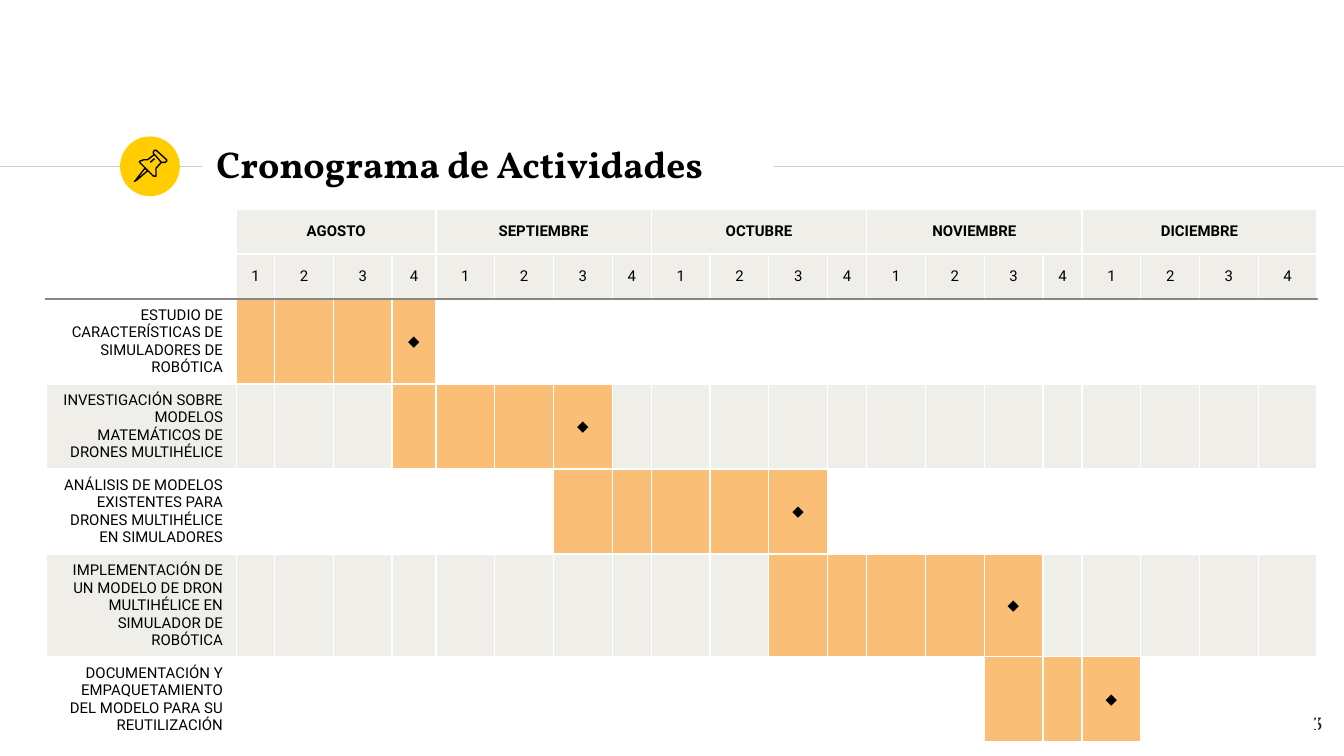
import pptx
import pptx.dml.color
import pptx.enum.shapes
import pptx.enum.text
import pptx.oxml
import pptx.oxml.ns
import pptx.util

Cm = pptx.util.Cm
Pt = pptx.util.Pt
RGB = pptx.dml.color.RGBColor
ALIGN = pptx.enum.text.PP_ALIGN
MIDDLE = pptx.enum.text.MSO_ANCHOR.MIDDLE

BLACK = RGB(0x00, 0x00, 0x00)
INK = RGB(0x1D, 0x1D, 0x1B)
WHITE = RGB(0xFF, 0xFF, 0xFF)
RULE = RGB(0xCC, 0xCC, 0xCC)
GREY = RGB(0x8A, 0x86, 0x82)
SAND = RGB(0xF0, 0xEE, 0xE9)
ORANGE = RGB(0xFA, 0xBE, 0x77)
YELLOW = RGB(0xFF, 0xCD, 0x00)

MONTHS = ["AGOSTO", "SEPTIEMBRE", "OCTUBRE", "NOVIEMBRE", "DICIEMBRE"]
WEEKS = 4
TASKS = [
    ("ESTUDIO DE CARACTERÍSTICAS DE SIMULADORES DE ROBÓTICA", 1, 4),
    ("INVESTIGACIÓN SOBRE MODELOS MATEMÁTICOS DE DRONES MULTIHÉLICE", 4, 7),
    ("ANÁLISIS DE MODELOS EXISTENTES PARA DRONES MULTIHÉLICE EN SIMULADORES", 7, 11),
    ("IMPLEMENTACIÓN DE UN MODELO DE DRON MULTIHÉLICE EN SIMULADOR DE ROBÓTICA", 11, 15),
    ("DOCUMENTACIÓN Y EMPAQUETAMIENTO DEL MODELO PARA SU REUTILIZACIÓN", 15, 17),
]
WIDTHS = ([3.6, 0.72, 1.11, 1.11, 0.83]
          + [1.11, 1.11, 1.11, 0.74] * 3 + [1.11] * 4)
HEIGHT = 0.85

TIP = [(274, 318), (257, 340), (254, 343), (259, 340), (279, 323)]
HEAD = [(292, 292), (305, 307), (312, 307), (315, 305), (315, 302),
        (295, 284), (292, 284), (290, 287), (290, 290)]
BODY = [(292, 292), (279, 302), (272, 302), (264, 305), (264, 307),
        (290, 333), (295, 333), (295, 318), (305, 307)]
GLINT = [(284, 307), (292, 300)]


def style(para, font, size, color, bold, align):
    para.alignment = align
    para.font.name = font
    para.font.size = Pt(size)
    para.font.bold = bold
    para.font.color.rgb = color


def add_text(slide, box, text, size, color, bold, align, anchor):
    frame = slide.shapes.add_textbox(*map(Cm, box)).text_frame
    frame.word_wrap = True
    frame.vertical_anchor = anchor
    frame.margin_top = frame.margin_bottom = Cm(0.25)
    frame.text = text
    style(frame.paragraphs[0], "Vollkorn", size, color, bold, align)


def add_rule(slide, left, right, top):
    rule = slide.shapes.add_connector(
        pptx.enum.shapes.MSO_CONNECTOR.STRAIGHT,
        Cm(left), Cm(top), Cm(right), Cm(top))
    rule.line.color.rgb = RULE
    rule.line.width = Pt(0.75)
    rule._element.spPr.append(pptx.oxml.parse_xml(
        f'<a:effectLst {pptx.oxml.ns.nsdecls("a")}/>'))


def add_disc(slide, left, top, size):
    disc = slide.shapes.add_shape(
        pptx.enum.shapes.MSO_SHAPE.OVAL, Cm(left), Cm(top), Cm(size), Cm(size))
    disc.shadow.inherit = False
    disc.fill.solid()
    disc.fill.fore_color.rgb = YELLOW
    disc.line.fill.background()


def add_pin(slide):
    group = slide.shapes.add_group_shape()
    for points, close in [(TIP, True), (HEAD, True), (BODY, False), (GLINT, False)]:
        pen = group.shapes.build_freeform(*points[0], scale=Cm(0.01))
        pen.add_line_segments(points[1:], close=close)
        part = pen.convert_to_shape()
        part.shadow.inherit = False
        part.fill.background()
        part.line.color.rgb = BLACK
        part.line.width = Pt(0.75)


def set_edges(cell, top, bottom):
    edges = {"L": WHITE, "R": WHITE, "T": top, "B": bottom}
    for side, color in edges.items():
        cell._tc.get_or_add_tcPr().append(pptx.oxml.parse_xml(
            f'<a:ln{side} {pptx.oxml.ns.nsdecls("a")} w="{Pt(0.75)}"><a:solidFill>'
            f'<a:srgbClr val="{color}"/></a:solidFill></a:ln{side}>'))


def fill_cell(cell, text, fill, bold=False, align=ALIGN.CENTER,
              top=WHITE, bottom=WHITE):
    set_edges(cell, top, bottom)
    if fill is None:
        cell.fill.background()
    else:
        cell.fill.solid()
        cell.fill.fore_color.rgb = fill
    cell.vertical_anchor = MIDDLE
    cell.text = text
    para = cell.text_frame.paragraphs[0]
    style(para, "Roboto", 8, BLACK, bold, align)
    if not text:
        para._p.get_or_add_endParaRPr().set("sz", "800")


def fill_heads(table):
    fill_cell(table.cell(0, 0), "", None)
    fill_cell(table.cell(1, 0), "", None, bottom=GREY)
    for col in range(1, len(WIDTHS)):
        month, week = divmod(col - 1, WEEKS)
        name = MONTHS[month] if week == 0 else ""
        fill_cell(table.cell(0, col), name, SAND, bold=True)
        fill_cell(table.cell(1, col), str(week + 1), SAND, bottom=GREY)
        if week == WEEKS - 1:
            table.cell(0, col - week).merge(table.cell(0, col))


def fill_tasks(table):
    for num, (label, first, last) in enumerate(TASKS):
        row = num + 2
        band = SAND if num % 2 else None
        top = WHITE if num else GREY
        fill_cell(table.cell(row, 0), label, band, align=ALIGN.RIGHT, top=top)
        for col in range(1, len(WIDTHS)):
            fill = ORANGE if first <= col <= last else band
            mark = "◆" if col == last else ""
            fill_cell(table.cell(row, col), mark, fill, top=top)


def add_plan(slide):
    count = len(TASKS) + 2
    frame = slide.shapes.add_table(
        count, len(WIDTHS), Cm(0.87), Cm(3.95), Cm(sum(WIDTHS)), Cm(HEIGHT * count))
    table = frame.table
    table.first_row = table.horz_banding = False
    for col, width in zip(table.columns, WIDTHS):
        col.width = Cm(width)
    for row in table.rows:
        row.height = Cm(HEIGHT)
    fill_heads(table)
    fill_tasks(table)
    frame.height = Cm(10.08)


def main():
    deck = pptx.Presentation()
    deck.slide_width, deck.slide_height = Cm(25.4), Cm(14.29)
    slide = deck.slides.add_slide(deck.slide_layouts[6])
    add_rule(slide, 0, 3.81, 3.15)
    add_disc(slide, 2.27, 2.58, 1.13)
    add_rule(slide, 14.63, 25.4, 3.15)
    add_text(slide, (3.84, 2.49, 10.77, 1.22), "Cronograma de Actividades",
             20, BLACK, True, ALIGN.LEFT, MIDDLE)
    add_text(slide, (23.72, 13.18, 1.52, 1.09), "3",
             10, INK, False, ALIGN.RIGHT, pptx.enum.text.MSO_ANCHOR.TOP)
    add_plan(slide)
    add_pin(slide)
    deck.save("out.pptx")


if __name__ == "__main__":
    main()
